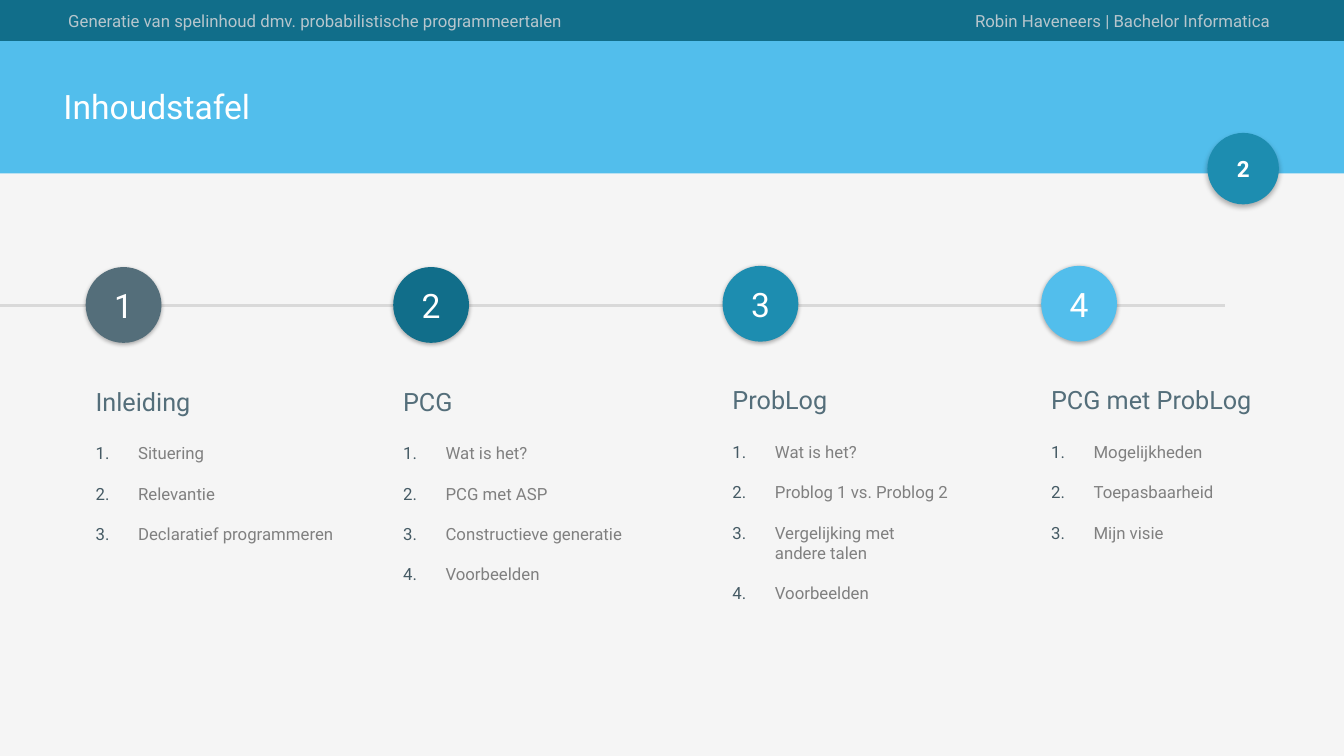
"""Build the table-of-contents slide with four numbered chapters."""
import copy
from dataclasses import dataclass
from typing import Any

import lxml.etree
import pptx
import pptx.dml.color
import pptx.enum.shapes
import pptx.enum.text
import pptx.oxml.ns
import pptx.util

Cm = pptx.util.Cm
Pt = pptx.util.Pt
RGBColor = pptx.dml.color.RGBColor
ALIGN = pptx.enum.text.PP_ALIGN
MIDDLE = pptx.enum.text.MSO_ANCHOR.MIDDLE
FIT = pptx.enum.text.MSO_AUTO_SIZE.SHAPE_TO_FIT_TEXT
SHAPE = pptx.enum.shapes.MSO_SHAPE
LINE = pptx.enum.shapes.MSO_CONNECTOR.STRAIGHT
qn = pptx.oxml.ns.qn

PALE = RGBColor(0xF5, 0xF5, 0xF5)
WHITE = RGBColor(0xFF, 0xFF, 0xFF)
BLACK = RGBColor(0x00, 0x00, 0x00)
DEEP = RGBColor(0x11, 0x6E, 0x8A)
TEAL = RGBColor(0x1D, 0x8D, 0xB0)
SKY = RGBColor(0x52, 0xBE, 0xEC)
SLATE = RGBColor(0x54, 0x6E, 0x7A)
DARK = RGBColor(0x45, 0x5A, 0x64)
MIST = RGBColor(0xB7, 0xC6, 0xCD)
GREY = RGBColor(0x80, 0x80, 0x80)
RULE = RGBColor(0xD9, 0xD9, 0xD9)

WIDTH = 33.87
DISC = 1.91
INDENT = 1.07


@dataclass
class Box:
    """Hold a place on the slide in centimetres."""
    left: float
    top: float
    width: float
    height: float

    def place(self) -> list[Any]:
        """Give the four lengths."""
        return [Cm(v) for v in (self.left, self.top, self.width, self.height)]


@dataclass
class Label:
    """Hold one line of text with its format."""
    text: str
    box: Box
    size: float
    color: RGBColor
    para: dict[str, Any]
    frame: dict[str, Any]
    bold: bool = False


@dataclass
class Chapter:
    """Hold one column of the contents."""
    left: float
    top: float
    color: RGBColor
    title: str
    width: float
    height: float
    items: list[str]


def apply(target: Any, values: dict[str, Any]) -> None:
    """Set each attribute from the format values."""
    for key, value in values.items():
        setattr(target, key, value)


def write(para: Any, text: str, size: float, color: RGBColor, bold: bool = False) -> None:
    """Fill a paragraph and format its runs and breaks."""
    para.text = text
    for run in para.runs:
        apply(run.font, {"name": "Roboto", "size": Pt(size), "bold": bold})
        run.font.color.rgb = color
    for gap in para._p.findall(qn("a:br")):
        gap.append(copy.deepcopy(para.runs[0]._r.rPr))


def tint(node: Any, color: RGBColor) -> Any:
    """Add a solid colour element below a node."""
    return lxml.etree.SubElement(node, qn("a:srgbClr"), val=str(color))


def draw_shape(shapes: Any, kind: Any, box: Box, color: RGBColor) -> Any:
    """Draw a flat filled shape."""
    shape = shapes.add_shape(kind, *box.place())
    shape.shadow.inherit = False
    shape.fill.solid()
    shape.fill.fore_color.rgb = color
    shape.line.fill.background()
    return shape


def draw_disc(shapes: Any, box: Box, color: RGBColor, blur: float, drop: float) -> Any:
    """Draw a circle with a soft shadow below it."""
    disc = draw_shape(shapes, SHAPE.OVAL, box, color)
    effect = disc._element.spPr.find(qn("a:effectLst"))
    shade = lxml.etree.SubElement(
        effect, qn("a:outerShdw"), blurRad=str(Pt(blur)), dist=str(Pt(drop)),
        dir="5400000", algn="t", rotWithShape="0")
    lxml.etree.SubElement(tint(shade, BLACK), qn("a:alpha"), val="30000")
    return disc


def draw_label(shapes: Any, label: Label) -> None:
    """Draw a text box with one paragraph."""
    frame = shapes.add_textbox(*label.box.place()).text_frame
    apply(frame, {"word_wrap": True, **label.frame})
    para = frame.paragraphs[0]
    write(para, label.text, label.size, label.color, label.bold)
    apply(para, label.para)


def draw_list(shapes: Any, box: Box, items: list[str]) -> None:
    """Draw a numbered list."""
    frame = shapes.add_textbox(*box.place()).text_frame
    apply(frame, {"word_wrap": True, "auto_size": FIT})
    for rank, item in enumerate(items):
        para = frame.add_paragraph() if rank else frame.paragraphs[0]
        write(para, item, 12, GREY)
        props = para._p.get_or_add_pPr()
        apply_in = {"marL": str(Cm(INDENT)), "indent": str(-Cm(INDENT))}
        props.attrib.update(apply_in)
        tint(lxml.etree.SubElement(props, qn("a:buClr")), DARK)
        lxml.etree.SubElement(props, qn("a:buAutoNum"), type="arabicPeriod")
        if rank:
            para.space_before = Pt(14.4)


def draw_chapter(shapes: Any, rank: int, part: Chapter) -> None:
    """Draw a numbered circle, its heading and its list."""
    group = shapes.add_group_shape().shapes
    disc = draw_disc(group, Box(part.left, part.top, DISC, DISC), part.color, 3, 1)
    disc.text_frame.vertical_anchor = MIDDLE
    para = disc.text_frame.paragraphs[0]
    write(para, str(rank), 24, WHITE)
    para.alignment = ALIGN.CENTER
    head = Box(part.left, part.top + 2.87, part.width, 1.02)
    draw_label(group, Label(part.title, head, 18, SLATE, {},
                            {"word_wrap": False, "auto_size": FIT}))
    draw_list(group, Box(part.left, part.top + 4.31, 7.54, part.height), part.items)


def draw_rule(shapes: Any) -> None:
    """Draw the line that links the chapters."""
    rule = shapes.add_connector(LINE, Cm(0), Cm(7.7), Cm(30.86), Cm(7.7))
    rule.line.color.rgb = RULE
    rule.line.width = Pt(2)
    lxml.etree.SubElement(rule._element.spPr, qn("a:effectLst"))


BANDS = [(Box(0, 0, WIDTH, 1.04), DEEP), (Box(0, 1.04, WIDTH, 3.33), SKY)]
LABELS = [
    Label("Generatie van spelinhoud dmv. probabilistische programmeertalen",
          Box(1.47, 0.15, 14.12, 0.77), 12, MIST, {}, {"auto_size": FIT}),
    Label("Robin Haveneers | Bachelor Informatica",
          Box(18.14, 0.15, 14.12, 0.77), 12, MIST,
          {"alignment": ALIGN.RIGHT}, {"auto_size": FIT}),
    Label("Inhoudstafel", Box(1.35, 2.16, 31.19, 1.19), 24, WHITE,
          {"line_spacing": 0.9}, {}),
    Label("2", Box(30.33, 3.73, 2.01, 1.02), 16, WHITE,
          {"alignment": ALIGN.CENTER}, {"vertical_anchor": MIDDLE}, True),
]
PARTS = [
    Chapter(2.16, 6.73, SLATE, "Inleiding", 2.97, 2.82,
            ["Situering", "Relevantie", "Declaratief programmeren"]),
    Chapter(9.91, 6.73, DEEP, "PCG", 1.75, 4.88,
            ["Wat is het?", "PCG met ASP", "Constructieve generatie", "Voorbeelden"]),
    Chapter(18.21, 6.7, TEAL, "ProbLog", 2.97, 4.37,
            ["Wat is het?", "Problog 1 vs. Problog 2",
             "Vergelijking met\nandere talen", "Voorbeelden"]),
    Chapter(26.24, 6.7, SKY, "PCG met ProbLog", 5.64, 3.33,
            ["Mogelijkheden", "Toepasbaarheid", "Mijn visie"]),
]


def main() -> None:
    """Build and save the slide."""
    deck = pptx.Presentation()
    apply(deck, {"slide_width": Cm(WIDTH), "slide_height": Cm(19.05)})
    slide = deck.slides.add_slide(deck.slide_layouts[6])
    slide.background.fill.solid()
    slide.background.fill.fore_color.rgb = PALE
    for box, color in BANDS:
        draw_shape(slide.shapes, SHAPE.RECTANGLE, box, color)
    draw_disc(slide.shapes, Box(30.43, 3.35, 1.8, 1.8), TEAL, 4, 2)
    draw_rule(slide.shapes)
    for label in LABELS:
        draw_label(slide.shapes, label)
    for rank, part in enumerate(PARTS, 1):
        draw_chapter(slide.shapes, rank, part)
    deck.save("out.pptx")


if __name__ == "__main__":
    main()
